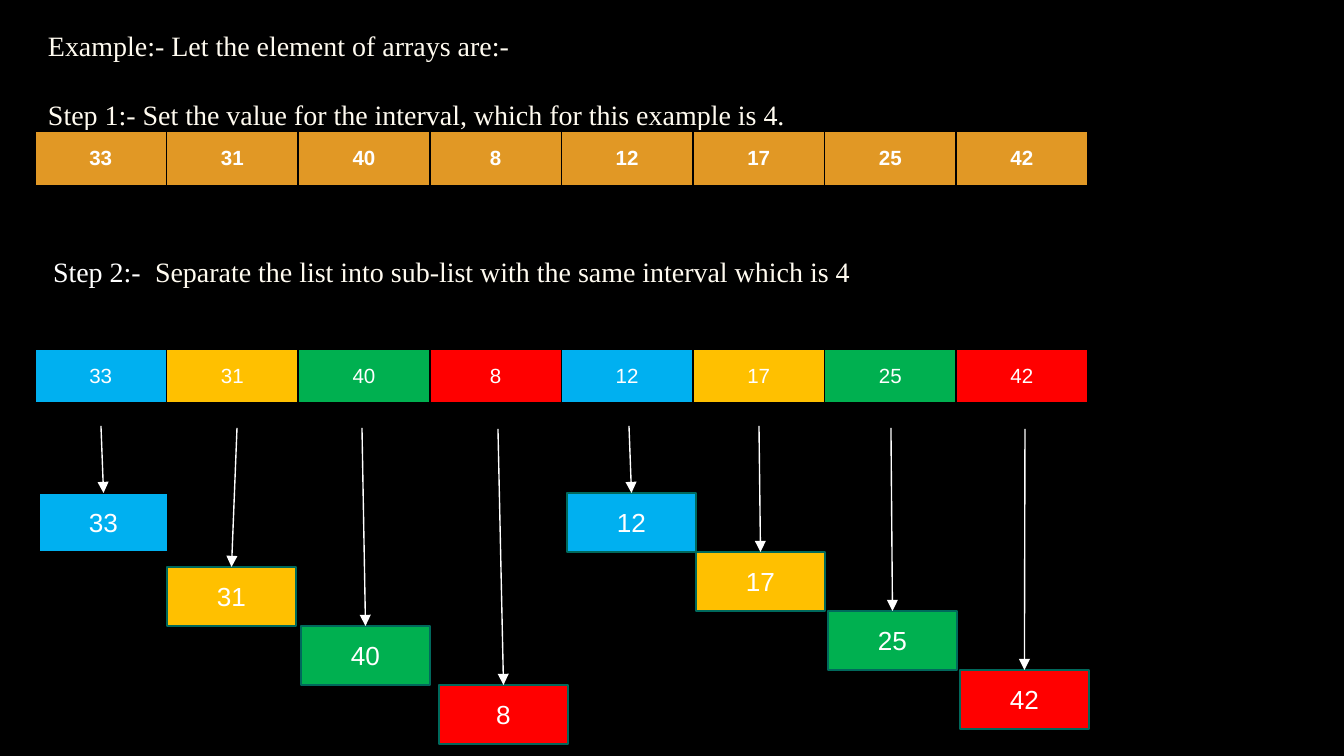
from lxml.etree import SubElement
from pptx import Presentation
from pptx.dml.color import RGBColor as RGB
from pptx.enum.shapes import MSO_CONNECTOR as Conn, MSO_SHAPE as Kind
from pptx.enum.text import MSO_ANCHOR as Anchor, PP_ALIGN as Align
from pptx.oxml.ns import qn
from pptx.util import Emu, Pt

BLACK = RGB(0x00, 0x00, 0x00)
WHITE = RGB(0xFF, 0xFF, 0xFF)
CREAM = RGB(0xFF, 0xFB, 0xF0)
ORANGE = RGB(0xE1, 0x98, 0x25)
BLUE = RGB(0x00, 0xB0, 0xF0)
GOLD = RGB(0xFF, 0xC0, 0x00)
GREEN = RGB(0x00, 0xB0, 0x50)
RED = RGB(0xFF, 0x00, 0x00)
TEAL = RGB(0x00, 0x69, 0x5C)

VALUES = [33, 31, 40, 8, 12, 17, 25, 42]
GROUPS = [BLUE, GOLD, GREEN, RED] * 2
BOXES = [(39, 493), (167, 567), (301, 626), (439, 685),
         (567, 493), (696, 552), (828, 611), (960, 670)]
STARTS = [(101, 426), (237, 428), (362, 428), (498, 429),
          (629, 426), (759, 426), (891, 428), (1025, 429)]
WIDE, HIGH = 129, 59


def px(count):
    return Emu(round(count * 914400 / 134.4))


class Board:
    """Draws the parts of one slide in a shared style."""

    def __init__(self, slide):
        self.slide = slide
        self.shapes = slide.shapes
        fill = slide.background.fill
        fill.solid()
        fill.fore_color.rgb = BLACK

    def style(self, para, size, face, color=WHITE, bold=False):
        font = para.font
        font.size, font.name, font.bold = Pt(size), face, bold
        font.color.rgb = color

    def pad(self, frame):
        frame.margin_left = frame.margin_right = px(13)
        frame.margin_top = frame.margin_bottom = px(13)
        frame.word_wrap = True

    def text(self, left, top, width, height, lines, gap=0, tab=0):
        frame = self.shapes.add_textbox(
            px(left), px(top), px(width), px(height)).text_frame
        self.pad(frame)
        for index, line in enumerate(lines):
            para = frame.add_paragraph() if index else frame.paragraphs[0]
            if index:
                para.space_before = px(gap)
            if tab:
                stops = SubElement(para._p.get_or_add_pPr(), qn("a:tabLst"))
                SubElement(stops, qn("a:tab"), pos=str(px(tab)), algn="l")
            self.style(para, 15, "Times New Roman", CREAM)
            for words, color in line:
                run = para.add_run()
                run.text = words
                run.font.color.rgb = color

    def edge(self, cell):
        props = cell._tc.get_or_add_tcPr()
        for side in ("lnL", "lnR", "lnT", "lnB"):
            line = SubElement(props, qn(f"a:{side}"), w=str(Pt(1)))
            fill = SubElement(line, qn("a:solidFill"))
            SubElement(fill, qn("a:srgbClr"), val=str(BLACK))

    def table(self, left, top, width, height, values, fills, bold=False):
        count = len(values)
        grid = self.shapes.add_table(
            1, count, px(left), px(top), px(width), px(height)).table
        grid.first_row = grid.horz_banding = False
        for index, (value, color) in enumerate(zip(values, fills)):
            grid.columns[index].width = px(width / count)
            cell = grid.cell(0, index)
            cell.margin_left = cell.margin_right = px(9)
            cell.margin_top = cell.margin_bottom = px(13)
            self.edge(cell)
            cell.fill.solid()
            cell.fill.fore_color.rgb = color
            para = cell.text_frame.paragraphs[0]
            para.text = str(value)
            para.alignment = Align.CENTER
            para.line_spacing = 1.15
            self.style(para, 11, "Arial", bold=bold)

    def box(self, left, top, value, color, rim):
        shape = self.shapes.add_shape(
            Kind.RECTANGLE, px(left), px(top), px(WIDE), px(HIGH))
        shape.shadow.inherit = False
        shape.fill.solid()
        shape.fill.fore_color.rgb = color
        shape.line.color.rgb = rim
        shape.line.width = Pt(0.75)
        frame = shape.text_frame
        self.pad(frame)
        frame.vertical_anchor = Anchor.MIDDLE
        para = frame.paragraphs[0]
        para.text = str(value)
        para.alignment = Align.CENTER
        self.style(para, 14, "Arial")

    def arrow(self, start, end):
        link = self.shapes.add_connector(
            Conn.STRAIGHT, *map(px, start), *map(px, end))
        link.line.color.rgb = WHITE
        link.line.width = Pt(0.75)
        SubElement(link.line._get_or_add_ln(), qn("a:tailEnd"), type="triangle")
        SubElement(link._element.spPr, qn("a:effectLst"))


def main():
    deck = Presentation()
    deck.slide_width, deck.slide_height = px(1344), px(756)
    board = Board(deck.slides.add_slide(deck.slide_layouts[6]))
    board.text(35, 16, 1193, 65, [
        [("Example:- Let the element of arrays are:-", CREAM)],
        [("Step 1:- Set the value for the interval, "
          "which for this example is 4.", CREAM)],
    ], gap=35)
    board.table(35, 131, 1053, 53, VALUES, [ORANGE] * len(VALUES), bold=True)
    board.table(35, 349, 1053, 53, VALUES, GROUPS)
    board.text(40, 242, 1152, 60, [
        [("Step 2:-\t", WHITE),
         ("Separate the list into sub-list with the same interval "
          "which is 4", CREAM)],
    ], tab=102)
    rims = [BLACK] + [TEAL] * (len(VALUES) - 1)
    for spot, value, color, rim in zip(BOXES, VALUES, GROUPS, rims):
        board.box(*spot, value, color, rim)
    for start, (left, top) in zip(STARTS, BOXES):
        board.arrow(start, (left + WIDE / 2, top))
    deck.save("out.pptx")


if __name__ == "__main__":
    main()
